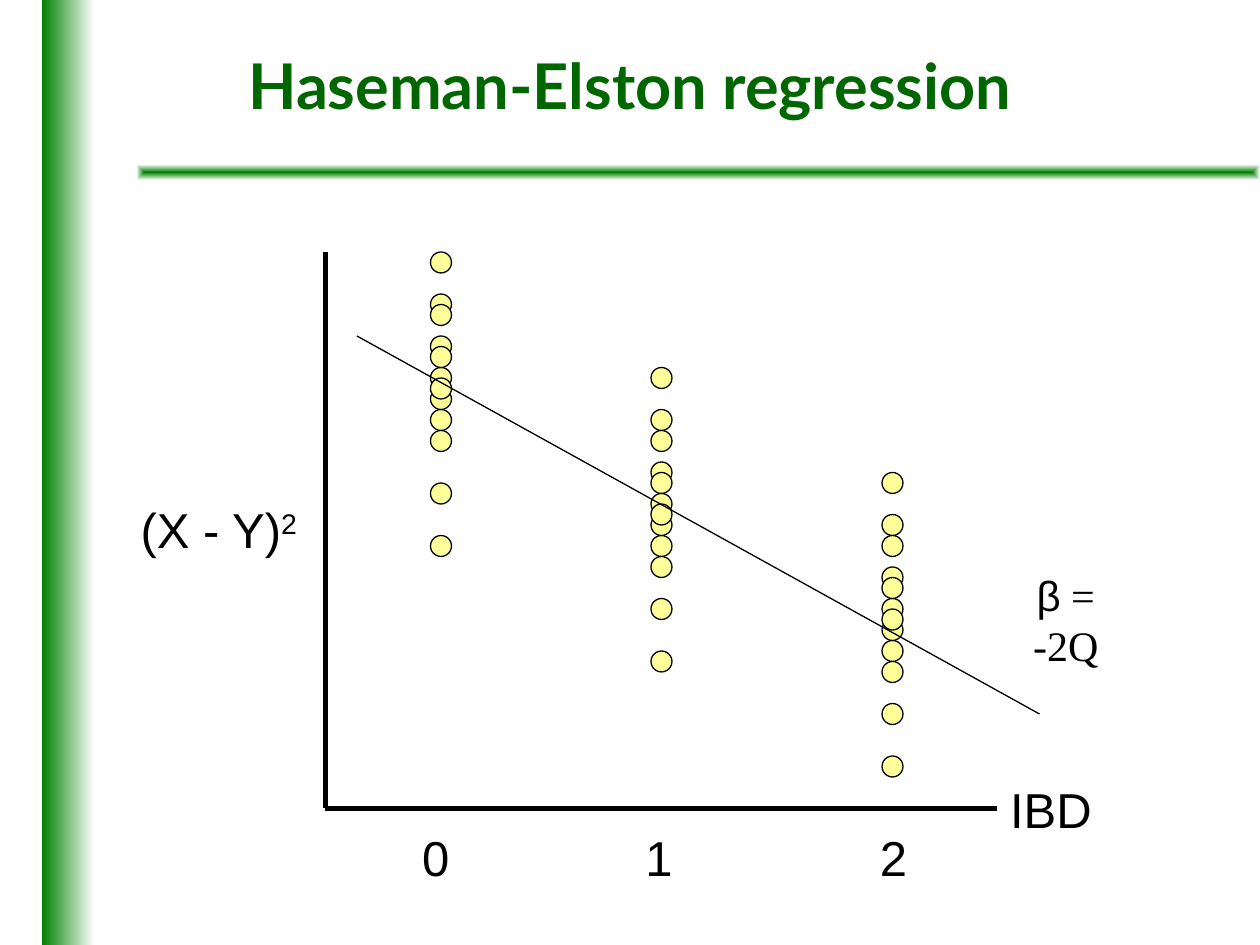
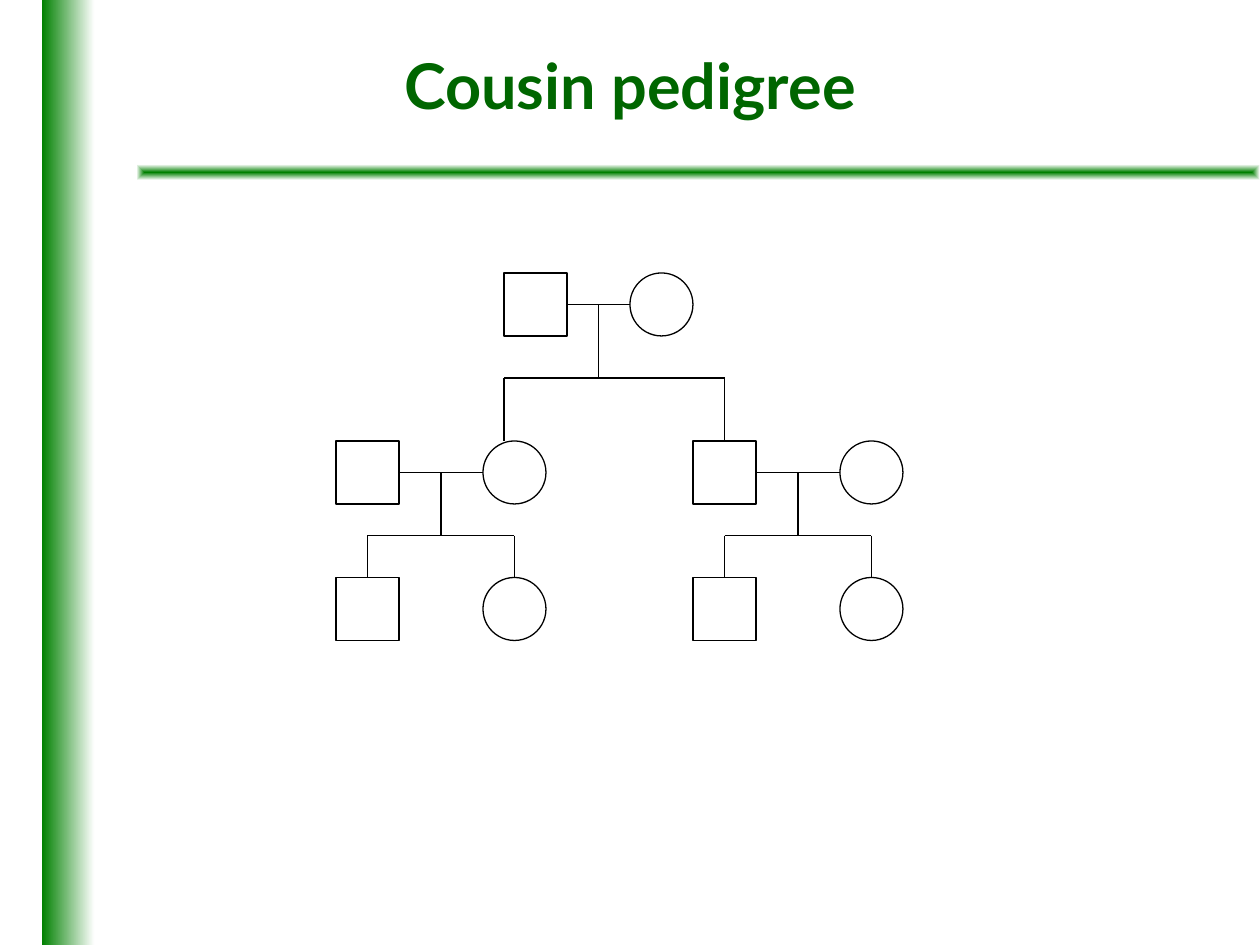
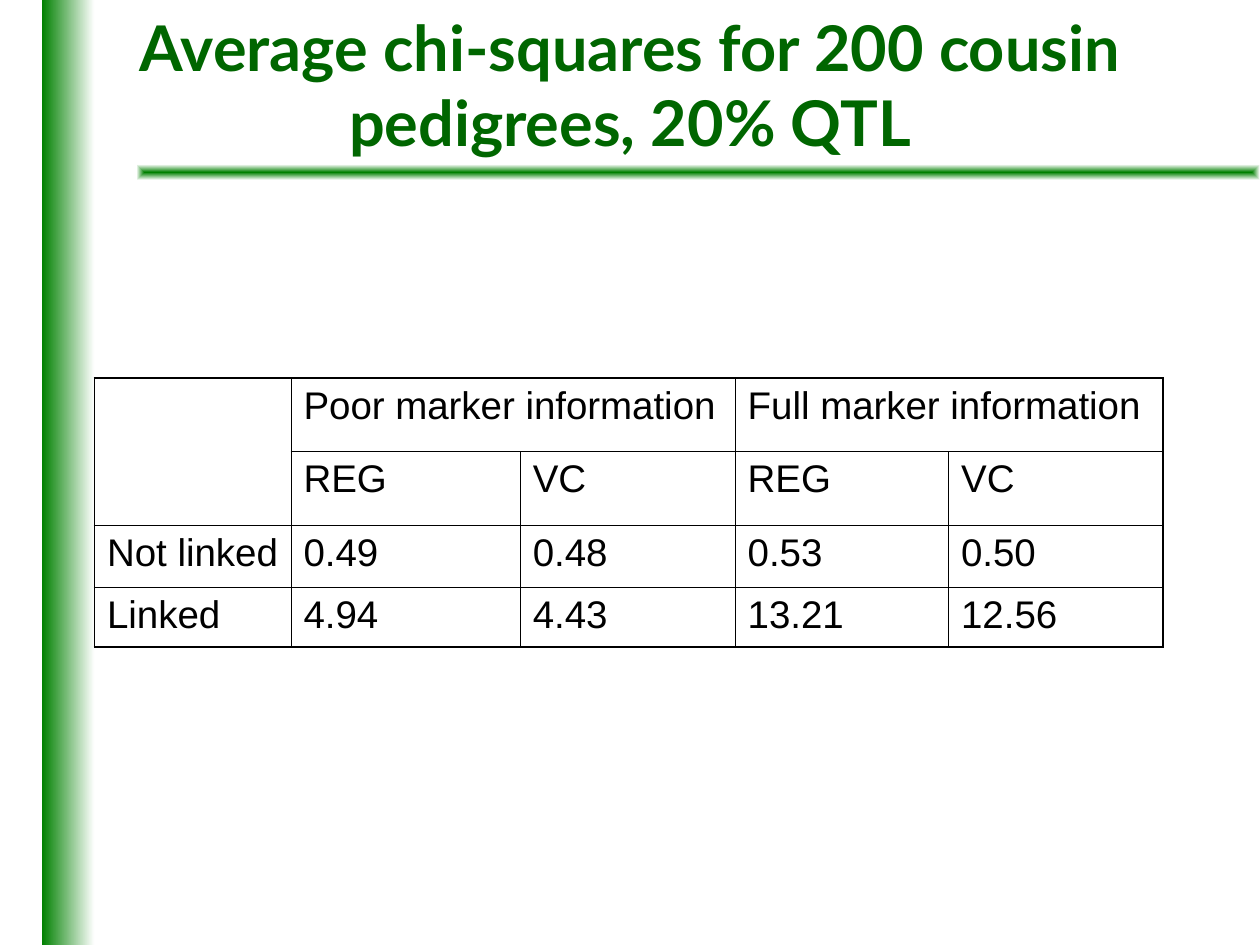
"""Build three slides on quantitative trait linkage: regression, pedigree and results table."""
from lxml import etree
from pptx import Presentation
from pptx.dml.color import RGBColor
from pptx.enum.shapes import MSO_CONNECTOR, MSO_SHAPE
from pptx.enum.text import MSO_ANCHOR, MSO_AUTO_SIZE, PP_ALIGN
from pptx.oxml import parse_xml
from pptx.oxml.ns import nsdecls, qn
from pptx.util import Pt

GREEN = RGBColor(0x00, 0x80, 0x00)
TITLE_GREEN = RGBColor(0x00, 0x66, 0x00)
YELLOW = RGBColor(0xFF, 0xFF, 0x99)
WHITE = RGBColor(0xFF, 0xFF, 0xFF)
BLACK = RGBColor(0x00, 0x00, 0x00)
TITLE_FONT, BODY_FONT, SERIF_FONT = "Lato", "Arial", "Times New Roman"

TITLES = [
    "Haseman-Elston regression",
    "Cousin pedigree",
    "Average chi-squares for 200 cousin pedigrees, 20% QTL",
]

DOT = 12
DOT_COLUMNS = [
    (246, [306, 276, 234, 192, 168, 210, 246, 222, 198, 216, 174, 144]),
    (372, [372, 342, 306, 264, 234, 282, 318, 294, 270, 288, 246, 210]),
    (504, [432, 402, 366, 324, 294, 342, 378, 354, 330, 348, 306, 270]),
]
AXES = [(186, 462, 570, 462), (186, 462, 186, 144)]
FIT_LINE = (204, 192, 594, 408)
LABELS = [
    (568, 441.5, 65, ["IBD"]),
    (72, 282, 106, ["(X - Y)", "2"]),
    (233, 469, 32, ["0"]),
    (360.5, 469, 32, ["1"]),
    (494.5, 469, 32, ["2"]),
]

PERSON = 36
COUPLES = [
    (288, 360, 156),
    (192, 276, 252),
    (396, 480, 252),
]
SIBLINGS = [
    (192, 276, 330),
    (396, 480, 330),
]
BRANCHES = [
    (216, 252, [288, 414]),
    (306, 330, [210, 294]),
    (306, 330, [414, 498]),
]

COL_WIDTHS = [112.3, 131, 122.8, 122, 122.4]
ROW_HEIGHTS = [42, 42, 35.7, 34]
ROWS = [
    ["", "Poor marker information", "", "Full marker information", ""],
    ["", "REG", "VC", "REG", "VC"],
    ["Not linked", "0.49", "0.48", "0.53", "0.50"],
    ["Linked", "4.94", "4.43", "13.21", "12.56"],
]
MERGES = [(0, 0, 1, 0), (0, 1, 0, 2), (0, 3, 0, 4)]
OUTER, INNER = 1.08, 0.45


def set_font(font, name, size, color=BLACK):
    font.name, font.size, font.color.rgb = name, Pt(size), color


def add_shape(shapes, kind, x, y, w, h, fill=None, outline=True):
    sp = shapes.add_shape(kind, Pt(x), Pt(y), Pt(w), Pt(h))
    sp.shadow.inherit = False
    if fill is None:
        sp.fill.background()
    else:
        sp.fill.solid()
        sp.fill.fore_color.rgb = fill
    if outline:
        sp.line.color.rgb, sp.line.width = BLACK, Pt(0.75)
    else:
        sp.line.fill.background()
    return sp


def add_line(s, x1, y1, x2, y2, width=0.75):
    ln = s.shapes.add_connector(MSO_CONNECTOR.STRAIGHT, Pt(x1), Pt(y1), Pt(x2), Pt(y2))
    ln.line.color.rgb, ln.line.width = BLACK, Pt(width)
    etree.SubElement(ln.element.spPr, qn("a:effectLst"))


def add_text(s, x, y, w, h, runs, wrap=False):
    tf = s.shapes.add_textbox(Pt(x), Pt(y), Pt(w), Pt(h)).text_frame
    tf.word_wrap, tf.vertical_anchor = wrap, MSO_ANCHOR.MIDDLE
    if not wrap:
        tf.auto_size = MSO_AUTO_SIZE.SHAPE_TO_FIT_TEXT
    p = tf.paragraphs[0]
    p.alignment = PP_ALIGN.CENTER
    for text in runs:
        p.add_run().text = text
    return p


def add_band(s, layout, x, y, w, h, from_center=False):
    sp = add_shape(s.shapes, MSO_SHAPE.RECTANGLE, x, y, w, h, outline=False)
    sp.fill.gradient()
    sp.fill.gradient_angle = 0
    for stop, color, position in zip(sp.fill.gradient_stops, (GREEN, WHITE), (0, 1)):
        stop.color.rgb, stop.position = color, position
    if from_center:
        lin = sp.element.spPr.find(".//" + qn("a:lin"))
        lin.getparent().replace(lin, parse_xml(
            f'<a:path {nsdecls("a")} path="rect">'
            '<a:fillToRect l="50000" t="50000" r="50000" b="50000"/></a:path>'))
    layout.shapes.element.insert(2, sp.element)


def add_slide(prs, layout, title):
    s = prs.slides.add_slide(layout)
    sp = s.shapes.title
    sp.left, sp.top, sp.width, sp.height = Pt(54), Pt(18), Pt(612), Pt(60)
    tf = sp.text_frame
    tf.text = title
    tf.auto_size, tf.vertical_anchor = MSO_AUTO_SIZE.NONE, MSO_ANCHOR.MIDDLE
    p = tf.paragraphs[0]
    p.alignment = PP_ALIGN.CENTER
    set_font(p.font, TITLE_FONT, 36, TITLE_GREEN)
    p.font.bold = True
    return s


def draw_regression(s):
    for axis in AXES:
        add_line(s, *axis, width=3)
    for x, tops in DOT_COLUMNS:
        group = s.shapes.add_group_shape()
        for y in tops:
            add_shape(group.shapes, MSO_SHAPE.OVAL, x, y, DOT, DOT, YELLOW)
    add_line(s, *FIT_LINE)
    for x, y, w, runs in LABELS:
        p = add_text(s, x, y, w, 41, runs)
        set_font(p.font, BODY_FONT, 28)
        for r in p.runs[1:]:
            r.font._element.set("baseline", "30000")
    p = add_text(s, 564, 336, 90, 36, ["β", " = -2Q"], wrap=True)
    for r, name in zip(p.runs, (BODY_FONT, SERIF_FONT)):
        set_font(r.font, name, 24)


def draw_pedigree(s):
    for male, female, y in COUPLES + SIBLINGS:
        add_shape(s.shapes, MSO_SHAPE.RECTANGLE, male, y, PERSON, PERSON)
        add_shape(s.shapes, MSO_SHAPE.OVAL, female, y, PERSON, PERSON)
    for (father, mother, top), (bar, bottom, children) in zip(COUPLES, BRANCHES):
        y = top + PERSON / 2
        middle = (father + PERSON + mother) / 2
        add_line(s, father + PERSON, y, mother, y)
        add_line(s, middle, y, middle, bar)
        add_line(s, children[0], bar, children[-1], bar)
        for x in children:
            add_line(s, x, bar, x, bottom)


def set_borders(cell, widths):
    tcPr = cell._tc.get_or_add_tcPr()
    for i, (side, width) in enumerate(zip("LRTB", widths)):
        tcPr.insert(i, parse_xml(
            f'<a:ln{side} {nsdecls("a")} w="{Pt(width)}"><a:solidFill>'
            f'<a:srgbClr val="{BLACK}"/></a:solidFill></a:ln{side}>'))


def draw_table(s):
    n_rows, n_cols = len(ROWS), len(COL_WIDTHS)
    table = s.shapes.add_table(n_rows, n_cols, Pt(54), Pt(216),
                               Pt(sum(COL_WIDTHS)), Pt(sum(ROW_HEIGHTS))).table
    table.first_row = table.horz_banding = False
    for column, width in zip(table.columns, COL_WIDTHS):
        column.width = Pt(width)
    for row, height in zip(table.rows, ROW_HEIGHTS):
        row.height = Pt(height)
    for r1, c1, r2, c2 in MERGES:
        table.cell(r1, c1).merge(table.cell(r2, c2))
    for i, row in enumerate(ROWS):
        for j, text in enumerate(row):
            cell = table.cell(i, j)
            cell.fill.background()
            if cell.is_spanned:
                continue
            cell.text = text
            set_font(cell.text_frame.paragraphs[0].font, BODY_FONT, 22)
            edges = (j == 0, j + cell.span_width == n_cols,
                     i == 0, i + cell.span_height == n_rows)
            set_borders(cell, [OUTER if edge else INNER for edge in edges])


def main():
    prs = Presentation()
    prs.slide_width, prs.slide_height = Pt(720), Pt(540)
    layout = prs.slide_layouts[5]
    slides = [add_slide(prs, layout, title) for title in TITLES]
    add_band(slides[0], layout, 78, 94, 642, 9, from_center=True)
    add_band(slides[0], layout, 24, 0, 30, 540)
    for draw, s in zip((draw_regression, draw_pedigree, draw_table), slides):
        draw(s)
    prs.save("out.pptx")


if __name__ == "__main__":
    main()
